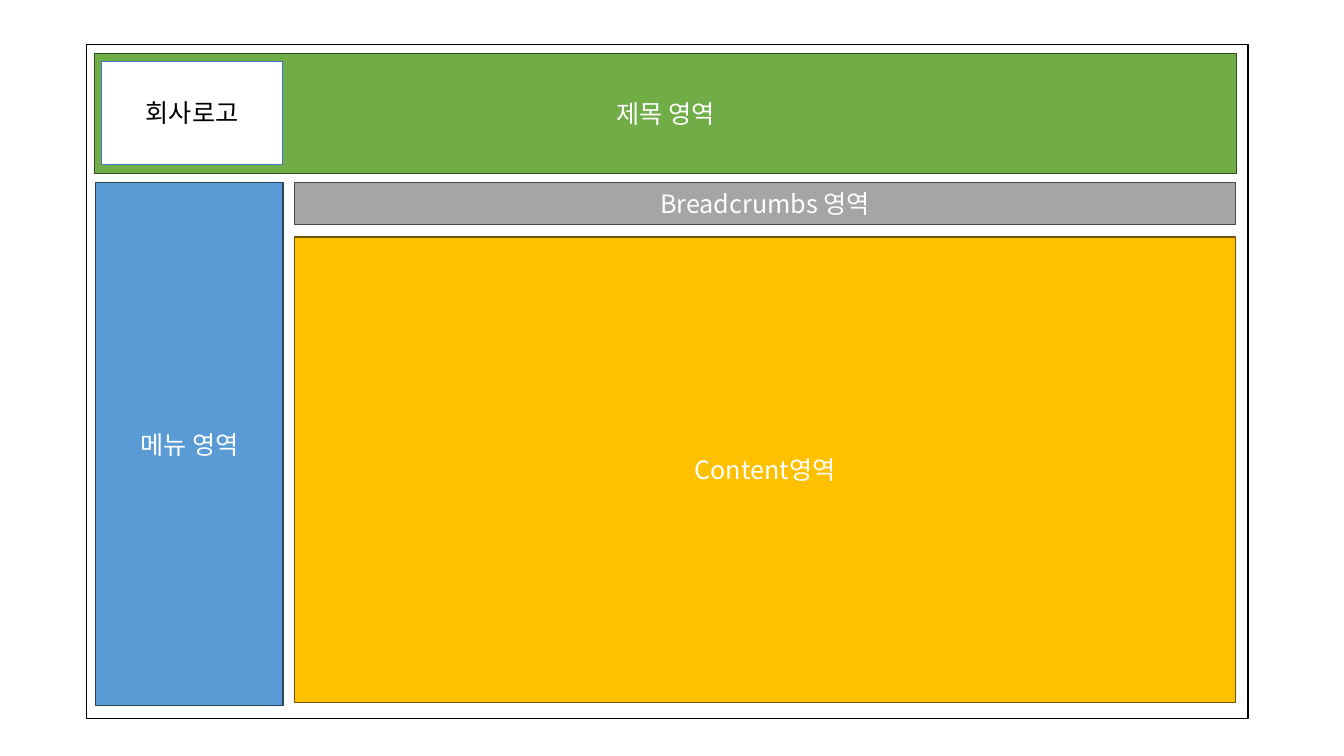
from lxml import etree
from pptx import Presentation
from pptx.dml.color import RGBColor
from pptx.enum.shapes import MSO_SHAPE
from pptx.enum.text import MSO_ANCHOR, PP_ALIGN
from pptx.oxml.ns import qn
from pptx.util import Pt

RECT = MSO_SHAPE.RECTANGLE
MIDDLE = MSO_ANCHOR.MIDDLE
CENTER = PP_ALIGN.CENTER

BLACK = RGBColor(0x00, 0x00, 0x00)
WHITE = RGBColor(0xFF, 0xFF, 0xFF)
GREEN = RGBColor(0x70, 0xAD, 0x47)
DARK_GREEN = RGBColor(0x31, 0x4C, 0x1F)
BLUE = RGBColor(0x5B, 0x9B, 0xD5)
DARK_BLUE = RGBColor(0x28, 0x44, 0x5D)
GRAY = RGBColor(0xA5, 0xA5, 0xA5)
DARK_GRAY = RGBColor(0x48, 0x48, 0x48)
GOLD = RGBColor(0xFF, 0xC0, 0x00)
DARK_GOLD = RGBColor(0x70, 0x54, 0x00)
LOGO_BLUE = RGBColor(0x44, 0x72, 0xC4)

FONT = "Noto Sans CJK KR"
BODY_TOP = 130.32
MAIN_LEFT = 210.24
MAIN_WIDTH = 672.48


def write_text(tf, text, font=FONT, size=18, color=WHITE, align=CENTER):
    tf.word_wrap = True
    tf.vertical_anchor = MIDDLE
    p = tf.paragraphs[0]
    p.alignment = align
    r = p.add_run()
    r.text = text
    r.font.name = font
    r.font.size = Pt(size)
    r.font.color.rgb = color
    ea = etree.Element(qn("a:ea"), typeface=font)
    r.font._element.find(qn("a:latin")).addnext(ea)


class Wireframe:
    def __init__(self, slide, line_width=1):
        self.s = slide
        self.line_width = line_width

    def area(self, left, top, width, height, fill, line, text=None, color=WHITE):
        sp = self.s.shapes.add_shape(RECT, Pt(left), Pt(top), Pt(width), Pt(height))
        sp.shadow.inherit = False
        sp.fill.solid()
        sp.fill.fore_color.rgb = fill
        sp.line.color.rgb = line
        sp.line.width = Pt(self.line_width)
        if text:
            write_text(sp.text_frame, text, color=color)
        return sp


def main():
    prs = Presentation()
    prs.slide_width = Pt(960)
    prs.slide_height = Pt(540)
    page = Wireframe(prs.slides.add_slide(prs.slide_layouts[6]))

    page.area(61.92, 31.68, 829.44, 481.68, WHITE, BLACK)
    page.area(67.68, 38.16, 815.76, 85.68, GREEN, DARK_GREEN, "제목 영역")
    page.area(68.4, BODY_TOP, 133.92, 373.68, BLUE, DARK_BLUE, "메뉴 영역")
    page.area(MAIN_LEFT, BODY_TOP, MAIN_WIDTH, 30.24, GRAY, DARK_GRAY, "Breadcrumbs 영역")
    page.area(MAIN_LEFT, 169.2, MAIN_WIDTH, 332.64, GOLD, DARK_GOLD, "Content영역")
    page.area(72.72, 43.92, 128.88, 73.44, WHITE, LOGO_BLUE, "회사로고", color=BLACK)

    prs.save("out.pptx")


if __name__ == "__main__":
    main()
